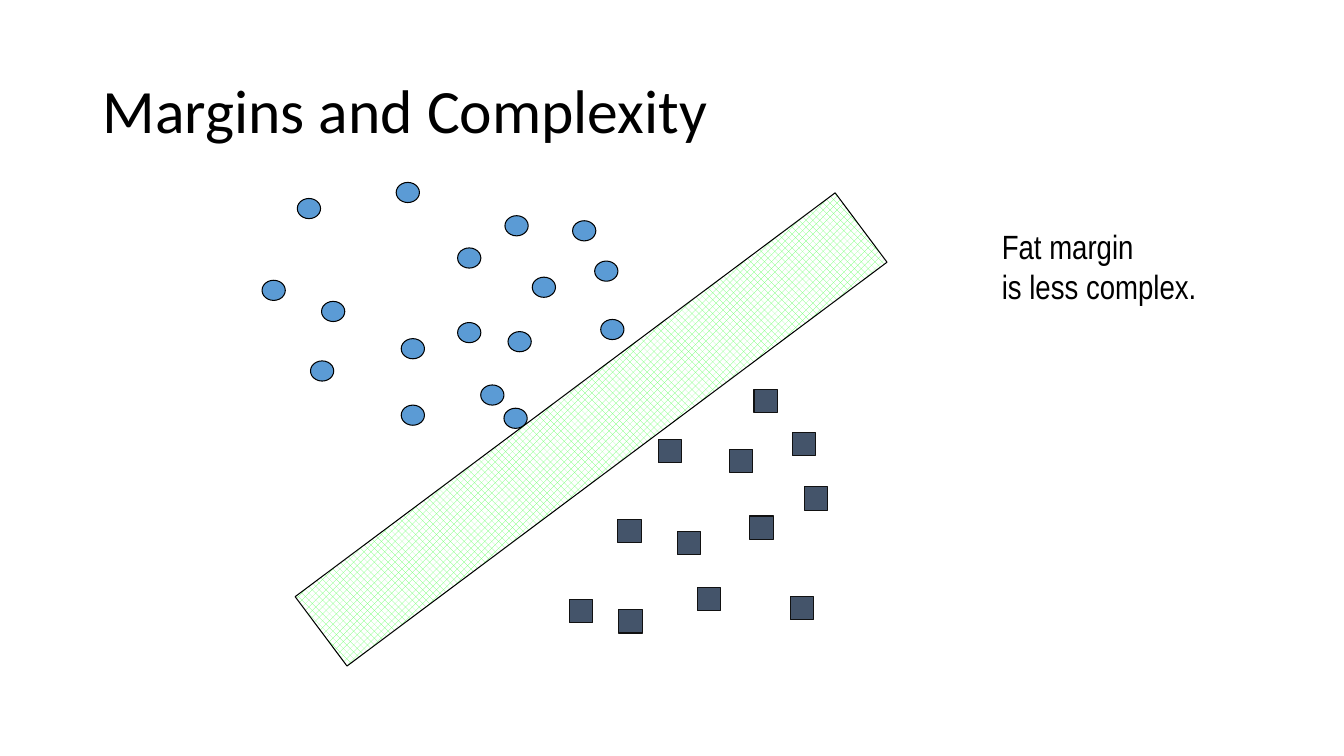
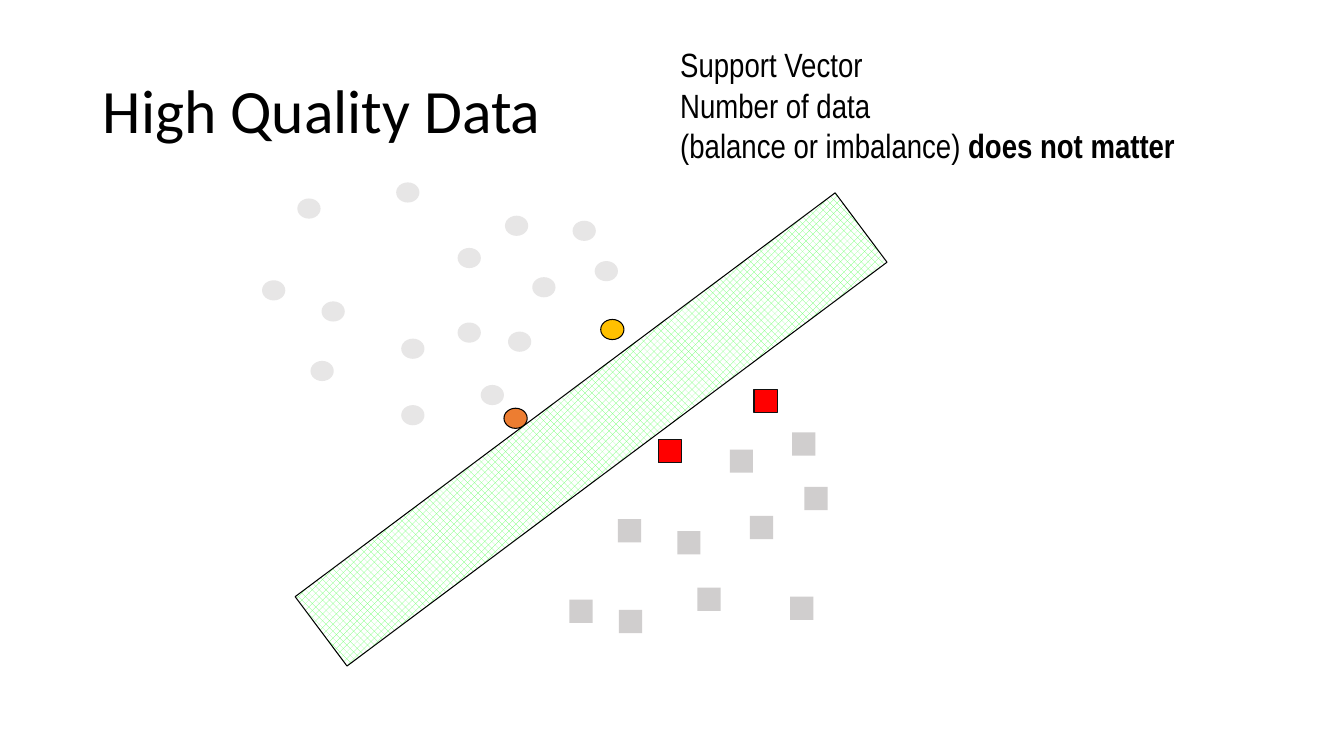
import pptx
import pptx.dml.color
import pptx.enum.dml
import pptx.enum.shapes
import pptx.enum.text
import pptx.util

Pt = pptx.util.Pt
Shape = pptx.enum.shapes.MSO_SHAPE
Rgb = pptx.dml.color.RGBColor.from_string


class Theme:
    black, edge, white = Rgb("000000"), Rgb("111111"), Rgb("FFFFFF")
    blue, slate, green = Rgb("5B9BD5"), Rgb("44546A"), Rgb("66FF66")
    pale, grey = Rgb("E7E6E6"), Rgb("D0CECE")
    gold, orange, red = Rgb("FFC000"), Rgb("ED7D31"), Rgb("FF0000")
    head = {"name": "Calibri", "size": Pt(44)}
    note = {"name": "Arial Narrow", "size": Pt(24)}
    rule = Pt(0.75)


def format_font(font, values):
    for name, value in values.items():
        setattr(font, name, value)
    font.color.rgb = Theme.black


def add_mark(slide, kind, box, fill, line):
    mark = slide.shapes.add_shape(kind, *map(Pt, box))
    mark.shadow.inherit = False
    if fill is not None:
        mark.fill.solid()
        mark.fill.fore_color.rgb = fill
    if line is None:
        mark.line.fill.background()
    else:
        mark.line.color.rgb = line
        mark.line.width = Theme.rule
    return mark


# Data points of the two classes: left and top
dots = [
    (212.4, 141.8), (187.2, 200.2), (229.7, 215.3), (380.2, 198),
    (326.9, 177.1), (221.8, 257.8), (424.8, 186.5), (362.9, 236.9),
    (286.6, 241.9), (286.6, 289.4), (360.7, 154.1), (360, 291.6),
    (409, 157.7), (326.9, 230.4), (343.4, 275), (429.1, 228.2),
    (283, 130.3),
]
squares = [
    (470.2, 313.9), (565.9, 308.9), (441.4, 370.8), (442.1, 435.6),
    (406.8, 428.4), (498.2, 419.8), (564.5, 426.2), (535.7, 368.6),
    (538.6, 277.9), (521.3, 321.1), (483.8, 379.4), (574.6, 347.8),
]
groups = [
    (Shape.OVAL, dots, (16.6, 14.4), Theme.black),
    (Shape.RECTANGLE, squares, (16.6, 16.6), Theme.edge),
]

# Each slide: fill per class, outline, support vectors by index, note
pages = [
    {
        "title": "Margins and Complexity",
        "fills": (Theme.blue, Theme.slate),
        "lined": True,
        "vectors": ({}, {}),
        "box": (708.5, 157.7, 185.8, 65.5),
        "note": [[("Fat margin", False)], [("is less complex.", False)]],
    },
    {
        "title": "High Quality Data",
        "fills": (Theme.pale, Theme.grey),
        "lined": False,
        "vectors": ({11: Theme.orange, 15: Theme.gold},
                    {0: Theme.red, 8: Theme.red}),
        "box": (478.8, 28.1, 450, 94.3),
        "note": [
            [("Support Vector", False)],
            [("Number of data", False)],
            [("(balance or imbalance) ", False), ("does not matter", True)],
        ],
    },
]

deck = pptx.Presentation()
deck.slide_width, deck.slide_height = Pt(960), Pt(540)

for page in pages:
    slide = deck.slides.add_slide(deck.slide_layouts[5])

    # Title
    title = slide.shapes.title
    title.left, title.top, title.width, title.height = map(
        Pt, (66.2, 28.8, 828, 104.4))
    title.text = page["title"]
    frame = title.text_frame
    frame.auto_size = pptx.enum.text.MSO_AUTO_SIZE.NONE
    frame.vertical_anchor = pptx.enum.text.MSO_ANCHOR.MIDDLE
    line = frame.paragraphs[0]
    line.alignment = pptx.enum.text.PP_ALIGN.LEFT
    line.line_spacing = 0.9
    format_font(line.runs[0].font, Theme.head)

    # Data points
    for group, fill, vectors in zip(groups, page["fills"], page["vectors"]):
        kind, spots, size, edge = group
        for index, spot in enumerate(spots):
            lined = page["lined"] or index in vectors
            add_mark(slide, kind, spot + size, vectors.get(index, fill),
                     edge if lined else None)

    # Margin band
    band = add_mark(slide, Shape.RECTANGLE, (181.4, 275.8, 481.7, 61.9),
                    None, Theme.black)
    band.rotation = 323.2
    band.fill.patterned()
    band.fill.pattern = pptx.enum.dml.MSO_PATTERN.PERCENT_50
    band.fill.fore_color.rgb = Theme.green
    band.fill.back_color.rgb = Theme.white

    # Note
    frame = slide.shapes.add_textbox(*map(Pt, page["box"])).text_frame
    frame.word_wrap = True
    for index, parts in enumerate(page["note"]):
        line = frame.add_paragraph() if index else frame.paragraphs[0]
        for text, bold in parts:
            run = line.add_run()
            run.text = text
            format_font(run.font, Theme.note | {"bold": bold})

deck.save("out.pptx")
